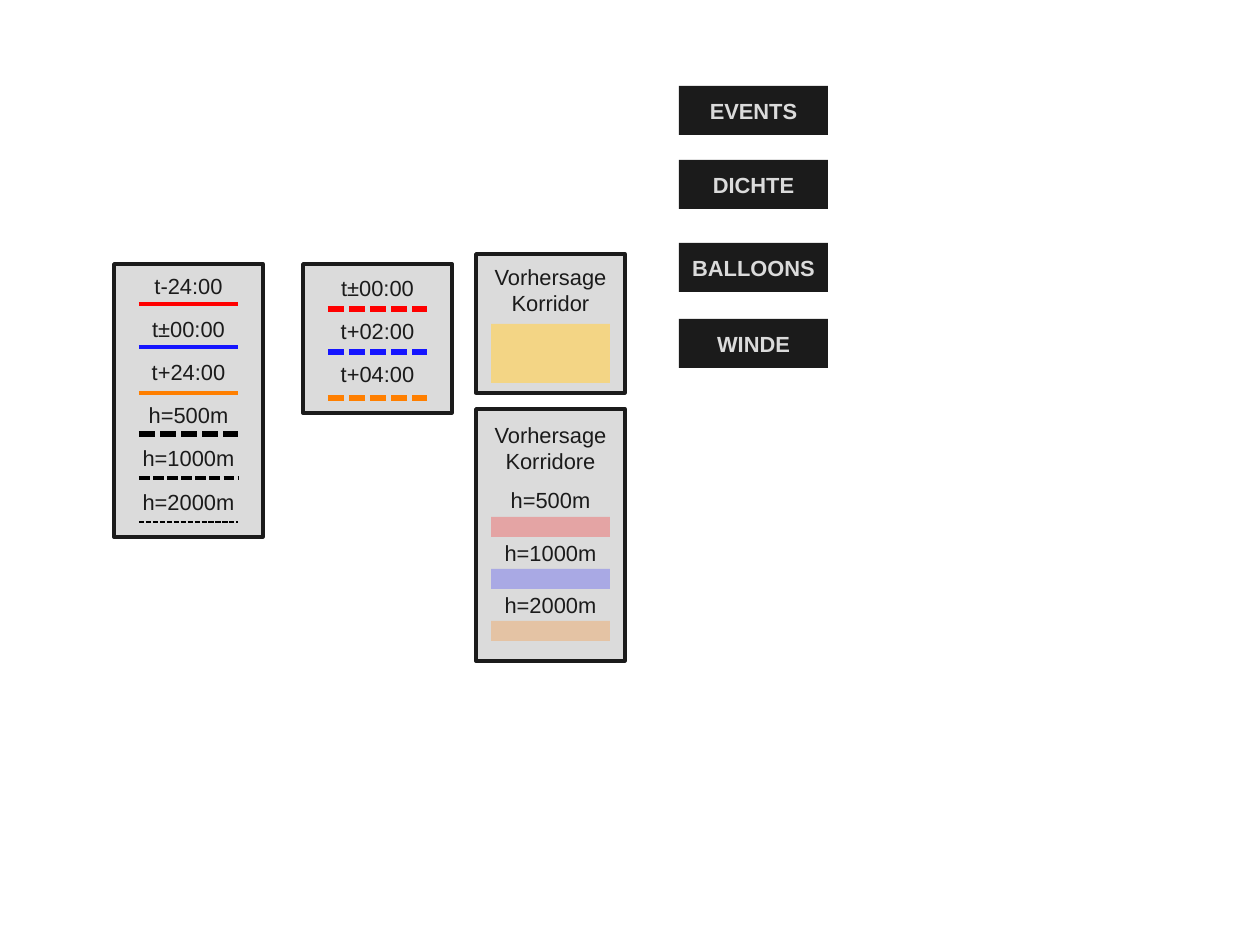
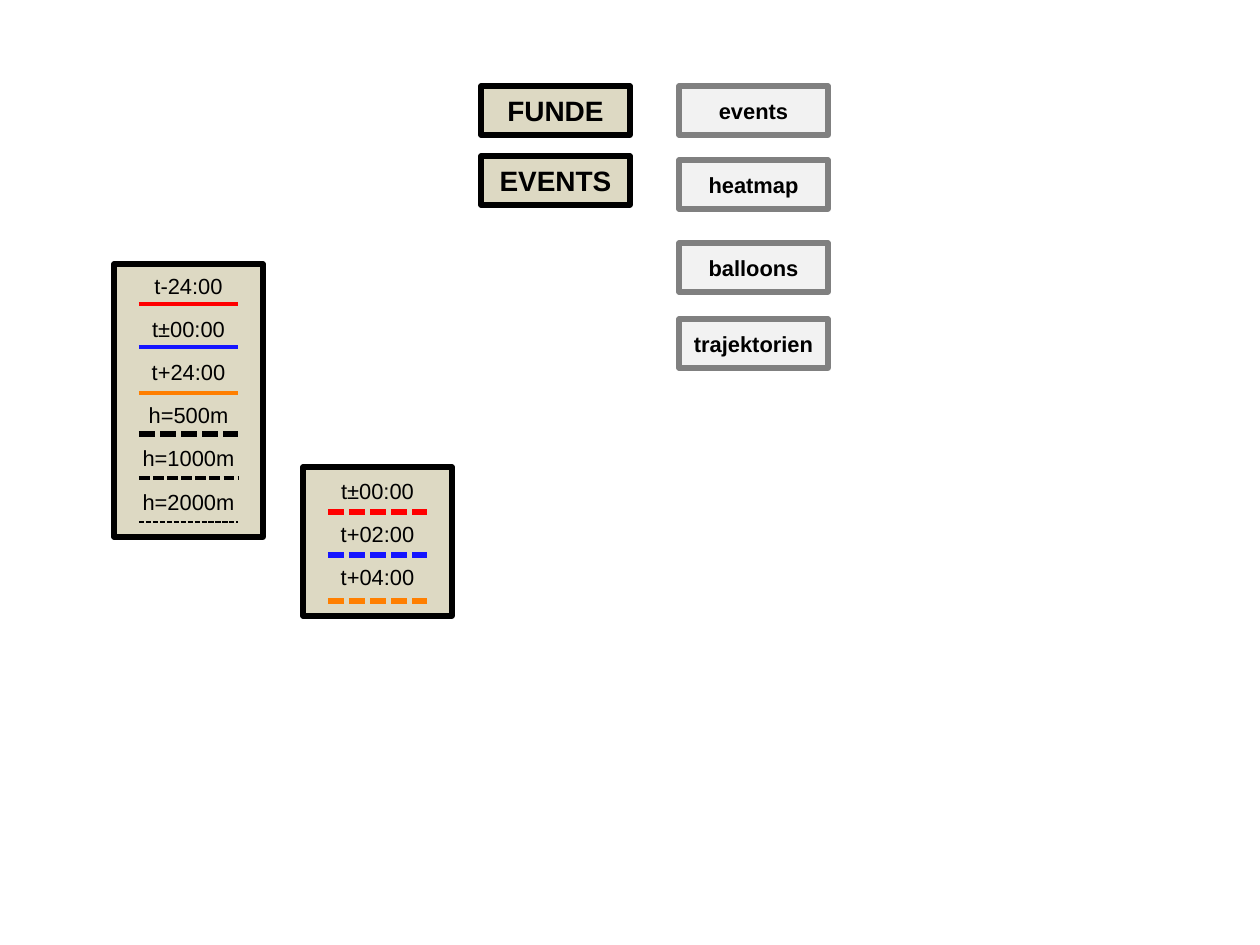
from dataclasses import dataclass

from pptx import Presentation
from pptx.dml.color import RGBColor
from pptx.enum.dml import MSO_LINE_DASH_STYLE as Dash
from pptx.enum.shapes import MSO_CONNECTOR as Connector, MSO_SHAPE as Shape
from pptx.enum.text import MSO_ANCHOR as Anchor, PP_ALIGN as Align
from pptx.oxml.ns import qn
from pptx.util import Pt
from lxml.etree import SubElement

PIXEL = 914400 // 126
FONT = "Arial"
TEXT_SIZE = 12.5
LINE_HEIGHT = 14.9
BOX_WIDTH = 149
BUTTON_HEIGHT = 49
BUTTON_LEFT = 679
BUTTON_TOPS = (86, 160, 243, 319)
TRACK_LEFT, TRACK_TOP = 114, 264
FORECAST_LEFT = 303
CORRIDOR_LEFT = 476
SAMPLE_INDENT, SAMPLE_WIDTH = 25, 99
BAND_INDENT, BAND_WIDTH = 15, 119
RED, BLUE, ORANGE, BLACK = "FF0000", "1515FF", "FF7F00", "000000"

TRACK_LABELS = ("t-24:00", "t±00:00", "t+24:00", "h=500m", "h=1000m", "h=2000m")
TRACK_SAMPLES = (
    (40, RED, 2, None),
    (83, BLUE, 2, None),
    (129, ORANGE, 2, None),
    (170, BLACK, 3, Dash.SQUARE_DOT),
    (214, BLACK, 2, Dash.SQUARE_DOT),
    (258, BLACK, 1, Dash.SQUARE_DOT),
)
FORECAST_LABELS = ("t±00:00", "t+02:00", "t+04:00")
FORECAST_SAMPLES = tuple(
    (offset, color, 3, Dash.SQUARE_DOT)
    for offset, color in ((45, RED), (88, BLUE), (134, ORANGE))
)


@dataclass
class Style:
    fill: str
    text: str
    line: str = None
    weight: float = 0


GRAY_PANEL = Style("DBDBDB", "1B1B1B", "1B1B1B", 2)
DARK_BUTTON = Style("1B1B1B", "DBDBDB")
BEIGE_PANEL = Style("DDD9C3", BLACK, BLACK, 3)
LIGHT_BUTTON = Style("F2F2F2", BLACK, "808080", 3)


def px(value):
    return round(value * PIXEL)


def rgb(value):
    return RGBColor.from_string(value)


def add_box(slide, left, top, width, height, fill, line=None, weight=0, alpha=None):
    shape = slide.shapes.add_shape(
        Shape.RECTANGLE, px(left), px(top), px(width), px(height)
    )
    shape.shadow.inherit = False
    shape.fill.solid()
    shape.fill.fore_color.rgb = rgb(fill)
    if alpha is not None:
        color = shape.fill._xPr.find(".//" + qn("a:srgbClr"))
        SubElement(color, qn("a:alpha")).set("val", str(alpha * 1000))
    if line:
        shape.line.color.rgb = rgb(line)
        shape.line.width = Pt(weight)
    else:
        shape.line.fill.background()
    return shape


def set_text(shape, paragraphs, color, size=TEXT_SIZE, bold=False,
             anchor=Anchor.MIDDLE, inset=0, gaps=None, line_height=None):
    frame = shape.text_frame
    frame.word_wrap = True
    frame.vertical_anchor = anchor
    frame.margin_left = frame.margin_right = frame.margin_bottom = 0
    frame.margin_top = px(inset)
    for index, text in enumerate(paragraphs):
        paragraph = frame.add_paragraph() if index else frame.paragraphs[0]
        paragraph.text = text
        paragraph.alignment = Align.CENTER
        if line_height:
            paragraph.line_spacing = Pt(line_height)
        if gaps and index:
            paragraph.space_before = Pt(gaps[index - 1])
        for run in paragraph.runs:
            run.font.name = FONT
            run.font.size = Pt(size)
            run.font.bold = bold
            run.font.color.rgb = rgb(color)


def add_button(slide, left, top, label, style, size=TEXT_SIZE):
    shape = add_box(slide, left, top, BOX_WIDTH, BUTTON_HEIGHT,
                    style.fill, style.line, style.weight)
    set_text(shape, [label], style.text, size=size, bold=True)


def add_buttons(slide, labels, style):
    for top, label in zip(BUTTON_TOPS, labels):
        add_button(slide, BUTTON_LEFT, top, label, style)


def add_panel(slide, left, top, height, labels, style, inset, gaps):
    shape = add_box(slide, left, top, BOX_WIDTH, height,
                    style.fill, style.line, style.weight)
    set_text(shape, labels, style.text, anchor=Anchor.TOP, inset=inset,
             gaps=gaps, line_height=LINE_HEIGHT)


def add_sample(slide, left, top, color, weight, dash):
    line = slide.shapes.add_connector(
        Connector.STRAIGHT, px(left), px(top), px(left + SAMPLE_WIDTH), px(top)
    )
    line.line.color.rgb = rgb(color)
    line.line.width = Pt(weight)
    if dash:
        line.line.dash_style = dash
    SubElement(line._element.spPr, qn("a:effectLst"))


def add_line_legend(slide, left, top, height, labels, samples, style, inset):
    gaps = [9.7] * (len(labels) - 1)
    add_panel(slide, left, top, height, labels, style, inset, gaps)
    for offset, color, weight, dash in samples:
        add_sample(slide, left + SAMPLE_INDENT, top + offset, color, weight, dash)


def add_legends(slide, style, forecast_top):
    add_line_legend(slide, TRACK_LEFT, TRACK_TOP, 273, TRACK_LABELS,
                    TRACK_SAMPLES, style, inset=9)
    add_line_legend(slide, FORECAST_LEFT, forecast_top, 149, FORECAST_LABELS,
                    FORECAST_SAMPLES, style, inset=11)


def add_corridors(slide, style):
    band_left = CORRIDOR_LEFT + BAND_INDENT
    add_panel(slide, CORRIDOR_LEFT, 254, 139, ["Vorhersage\vKorridor"], style,
              inset=10, gaps=None)
    add_box(slide, band_left, 324, BAND_WIDTH, 59, "F3D585")
    labels = ["Vorhersage\vKorridore", "h=500m", "h=1000m", "h=2000m"]
    add_panel(slide, CORRIDOR_LEFT, 409, 252, labels, style,
              inset=13, gaps=(7.4, 15.1, 15.1))
    for index, color in enumerate((RED, BLUE, ORANGE)):
        add_box(slide, band_left, 517 + 52 * index, BAND_WIDTH, 20, color, alpha=25)


def build_gray_slide(slide):
    add_buttons(slide, ("EVENTS", "DICHTE", "BALLOONS", "WINDE"), DARK_BUTTON)
    add_legends(slide, GRAY_PANEL, forecast_top=264)
    add_corridors(slide, GRAY_PANEL)


def build_beige_slide(slide):
    for top, label in ((86, "FUNDE"), (156, "EVENTS")):
        add_button(slide, 481, top, label, BEIGE_PANEL, size=16)
    add_buttons(slide, ("events", "heatmap", "balloons", "trajektorien"), LIGHT_BUTTON)
    add_legends(slide, BEIGE_PANEL, forecast_top=467)


def main():
    presentation = Presentation()
    presentation.slide_width = px(1260)
    presentation.slide_height = px(945)
    blank = presentation.slide_layouts[6]
    for build in (build_gray_slide, build_beige_slide):
        build(presentation.slides.add_slide(blank))
    presentation.save("out.pptx")


main()
